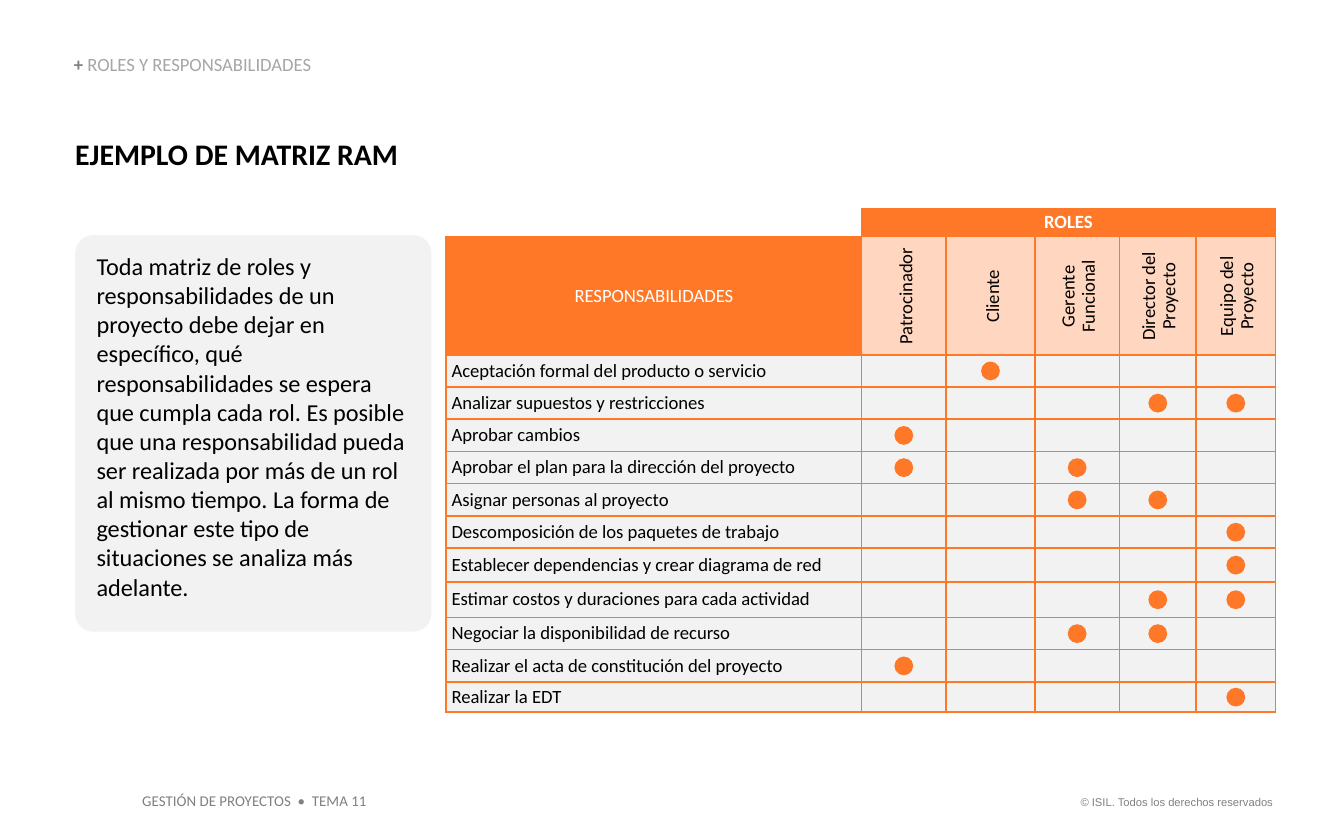
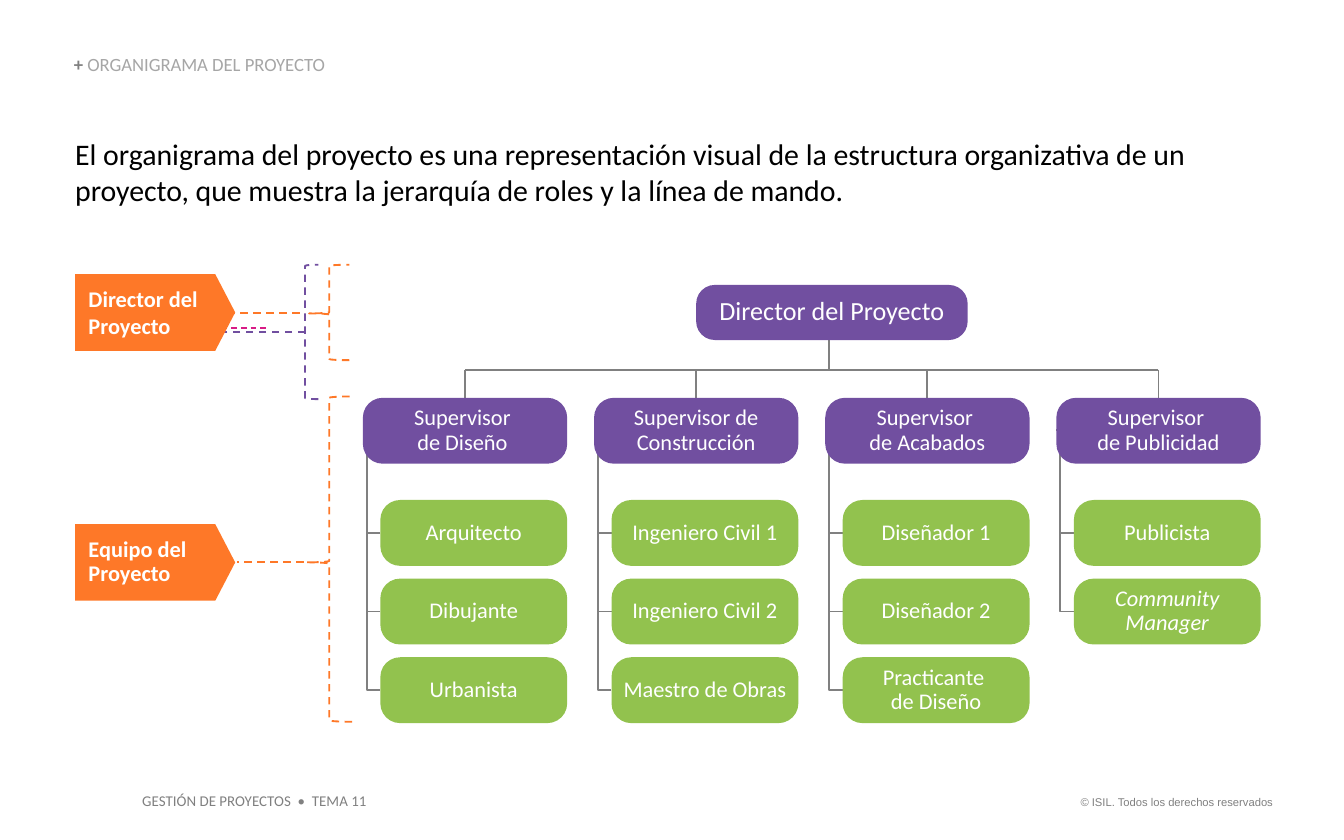
from pptx import Presentation
from pptx.dml.color import RGBColor
from pptx.enum.dml import MSO_LINE
from pptx.enum.shapes import MSO_CONNECTOR as LINK, MSO_SHAPE as SHAPE
from pptx.enum.text import MSO_ANCHOR as ANCHOR, PP_ALIGN as ALIGN
from pptx.oxml.ns import qn
from pptx.util import Inches, Pt
from lxml.etree import SubElement, Element

ORANGE = RGBColor(0xFE, 0x78, 0x28)
PEACH = RGBColor(0xFF, 0xD7, 0xC1)
PURPLE = RGBColor(0x71, 0x4F, 0xA0)
GREEN = RGBColor(0x92, 0xC2, 0x4E)
PINK = RGBColor(0xD8, 0x1B, 0x86)
PALE = RGBColor(0xF2, 0xF2, 0xF2)
GREY = RGBColor(0x80, 0x80, 0x80)
SILVER = RGBColor(0xA6, 0xA6, 0xA6)
BLACK = RGBColor(0, 0, 0)
WHITE = RGBColor(0xFF, 0xFF, 0xFF)
FONT = "Calibri"

deck = Presentation()
deck.slide_width, deck.slide_height = Inches(10), Inches(6.25)
G = deck.slide_width // 100  # square grid: 100 columns by 62.5 rows


def put(page, box, text="", size=12, ink=WHITE, kind=None, fill=None, edge=None, adj=(),
        bold=False, face=FONT, align=ALIGN.LEFT, anchor=ANCHOR.TOP, pad=(0, 0, 0, 0),
        space=None, wrap=True):
    """Add a text box, or a preset shape when a kind is given; box is in grid cells."""
    spot = [round(n * G) for n in box]
    if kind is None:
        item = page.shapes.add_textbox(*spot)
    else:
        item = page.shapes.add_shape(kind, *spot)
        item.shadow.inherit = False
        for i, share in enumerate(adj):
            item.adjustments[i] = share
        if fill is None:
            item.fill.background()
        else:
            item.fill.solid()
            item.fill.fore_color.rgb = fill
        if edge is None:
            item.line.fill.background()
        else:
            item.line.color.rgb = edge
            item.line.width = Pt(1)
            item.line.dash_style = MSO_LINE.DASH
    if text:
        frame = item.text_frame
        frame.text = text
        frame.word_wrap = wrap
        frame.vertical_anchor = anchor
        (frame.margin_left, frame.margin_top,
         frame.margin_right, frame.margin_bottom) = [round(n * G) for n in pad]
        para = frame.paragraphs[0]
        para.alignment = align
        if space:
            para.line_spacing = space
        for run in para.runs:
            run.font.name, run.font.size, run.font.bold = face, Pt(size), bold
            run.font.color.rgb = ink
    return item


def join(page, ends, ink=GREY, dash=False, width=1, bend=None):
    """Draw a line between two grid points, with an elbow when bend is given."""
    kind = LINK.STRAIGHT if bend is None else LINK.ELBOW
    wire = page.shapes.add_connector(kind, *[round(n * G) for n in ends])
    wire.line.color.rgb = ink
    wire.line.width = Pt(width)
    if dash:
        wire.line.dash_style = MSO_LINE.DASH
    props = wire._element.spPr
    SubElement(props, qn("a:effectLst"))
    if bend is not None:
        geom = props.find(qn("a:prstGeom"))
        guides = geom.find(qn("a:avLst"))
        if guides is None:
            guides = SubElement(geom, qn("a:avLst"))
        SubElement(guides, qn("a:gd"), name="adj1", fmla=f"val {round(bend * 100000)}")


# Shared heading and footers
pages = []
for topic in ("ROLES Y RESPONSABILIDADES", "ORGANIGRAMA DEL PROYECTO"):
    page = deck.slides.add_slide(deck.slide_layouts[6])
    pages.append(page)
    put(page, (79.1, 58.7, 16.6, 2), "© ISIL. Todos los derechos reservados", 6, GREY,
        face="Arial", align=ALIGN.RIGHT, pad=(1, 0.5, 1, 0.5), wrap=False)
    put(page, (9.6, 58.4, 18.7, 2.4), "GESTIÓN DE PROYECTOS  •  TEMA 11", 8, GREY,
        pad=(1, 0.5, 1, 0.5), wrap=False)
    head = put(page, (5.5, 4.1, 33.5, 1.5), "+ ", 10, GREY, bold=True,
               anchor=ANCHOR.BOTTOM, space=0.9)
    run = head.text_frame.paragraphs[0].add_run()
    run.text = topic
    run.font.name, run.font.size, run.font.bold = FONT, Pt(10), False
    run.font.color.rgb = SILVER
matrix, chart = pages

# Slide 1: title and explanation
put(matrix, (5.6, 10.1, 69.2, 2.7), "EJEMPLO DE MATRIZ RAM", 16, BLACK, bold=True)
put(matrix, (5.6, 17.5, 26.5, 29.5),
    "Toda matriz de roles y responsabilidades de un proyecto debe dejar en específico, "
    "qué responsabilidades se espera que cumpla cada rol. Es posible que una "
    "responsabilidad pueda ser realizada por más de un rol al mismo tiempo. La forma de "
    "gestionar este tipo de situaciones se analiza más adelante.",
    13, BLACK, SHAPE.ROUNDED_RECTANGLE, PALE, adj=[0.05], pad=(1.2, 0.8, 1.2, 0.5))

# Slide 1: matrix data, each task with the columns of its roles
roles = ["Patrocinador", "Cliente", "Gerente Funcional", "Director del Proyecto",
         "Equipo del Proyecto"]
tasks = [
    ("Aceptación formal del producto o servicio", [2]),
    ("Analizar supuestos y restricciones", [4, 5]),
    ("Aprobar cambios", [1]),
    ("Aprobar el plan para la dirección del proyecto", [1, 3]),
    ("Asignar personas al proyecto", [3, 4]),
    ("Descomposición de los paquetes de trabajo", [5]),
    ("Establecer dependencias y crear diagrama de red", [5]),
    ("Estimar costos y duraciones para cada actividad", [4, 5]),
    ("Negociar la disponibilidad de recurso", [3, 4]),
    ("Realizar el acta de constitución del proyecto", [1]),
    ("Realizar la EDT", [5]),
]
cols = [30.9, 6.3, 6.6, 6.3, 5.7, 5.9]
rows = [2.1, 8.8] + [2.4] * 6 + [2.5, 2.65, 2.4, 2.4, 2.25]
left, top = 33.2, 15.5

# Slide 1: table
spot = [round(n * G) for n in (left, top, sum(cols), sum(rows))]
grid = matrix.shapes.add_table(len(rows), len(cols), *spot).table
grid.first_row = grid.horz_banding = False
for col, wide in zip(grid.columns, cols):
    col.width = round(wide * G)
for row, high in zip(grid.rows, rows):
    row.height = round(high * G)
grid.cell(0, 1).merge(grid.cell(0, 5))
words = {(0, 1): "ROLES", (1, 0): "RESPONSABILIDADES"}
words.update({(r, 0): task for r, (task, _) in enumerate(tasks, 2)})

for r in range(len(rows)):
    for c in range(len(cols)):
        cell = grid.cell(r, c)
        if r > 1:
            fill = PALE
        elif r == c:
            fill = WHITE if r == 0 else PEACH
        else:
            fill = PEACH if r and c else ORANGE
        cell.fill.solid()
        cell.fill.fore_color.rgb = fill
        cell.vertical_anchor = ANCHOR.MIDDLE
        cell.margin_left = cell.margin_right = round(0.4 * G)
        cell.margin_top = cell.margin_bottom = round(0.2 * G)
        para = cell.text_frame.paragraphs[0]
        if (r, c) in words:
            para.text = words[r, c]
            para.alignment = ALIGN.CENTER if r < 2 else ALIGN.LEFT
            font = para.runs[0].font
            font.name, font.size, font.bold = FONT, Pt(10), r == 0
            font.color.rgb = WHITE if r < 2 else BLACK
        else:
            SubElement(para._p, qn("a:endParaRPr"), sz="1000")
        sides = "RB" if r == c == 0 else "LRTB"
        for i, side in enumerate(sides):
            rule = Element(qn(f"a:ln{side}"), w="12700")
            paint = SubElement(rule, qn("a:solidFill"))
            SubElement(paint, qn("a:srgbClr"), val=str(ORANGE))
            cell._tc.tcPr.insert(i, rule)

# Slide 1: upright role names and dots, centred on the table's cells
mids = [left + sum(cols[:c]) + cols[c] / 2 for c in range(len(cols))]
for role, mid in zip(roles, mids[1:]):
    two = " " in role
    high = 3 if two else 1.7
    name = put(matrix, (mid - 4.3, 22.05 - high / 2, 8.8, high), role, 10, BLACK,
               align=ALIGN.CENTER, space=0.9 if two else None)
    name.rotation = 270
for r, (_, marks) in enumerate(tasks, 2):
    y = top + sum(rows[:r]) + rows[r] / 2
    for c in marks:
        put(matrix, (mids[c] - 0.7, y - 0.7, 1.4, 1.4), kind=SHAPE.OVAL, fill=ORANGE)

# Slide 2: introduction
put(chart, (5.6, 10.1, 89.3, 5.4),
    "El organigrama del proyecto es una representación visual de la estructura "
    "organizativa de un proyecto, que muestra la jerarquía de roles y la línea de mando.",
    16, BLACK)

# Slide 2: lines behind the level tags
join(chart, (22.7, 24.7, 16.5, 24.7), PURPLE, dash=True)
join(chart, (16.5, 24.4, 19.8, 24.4), PINK, dash=True, width=0.75)

# Slide 2: director and trunk
teams = [
    ("Supervisor \vde Diseño ", ["Arquitecto", "Dibujante", "Urbanista"]),
    ("Supervisor de Construcción",
     ["Ingeniero Civil 1", "Ingeniero Civil 2", "Maestro de Obras"]),
    ("Supervisor \vde Acabados", ["Diseñador 1", "Diseñador 2", "Practicante \vde Diseño"]),
    ("Supervisor \vde Publicidad", ["Publicista", "Community Manager"]),
]
first, step, wide, high = 27, 17.2, 15.2, 4.9
pitch, start, inset = 5.85, 37.2, 1.3
node = dict(kind=SHAPE.ROUNDED_RECTANGLE, align=ALIGN.CENTER, anchor=ANCHOR.MIDDLE, space=0.9)
stem = first + wide / 2
join(chart, (61.7, 25.3, 61.7, 27.5))
join(chart, (stem, 27.5, stem + 3 * step, 27.5))
put(chart, (51.8, 21.2, 20.2, 4.1), "Director del Proyecto", 14, fill=PURPLE, adj=[0.34],
    pad=(1, 0.5, 1, 0.5), **node)

# Slide 2: one column per team
for i, (boss, staff) in enumerate(teams):
    x = first + i * step
    join(chart, (x + wide / 2, 27.5, x + wide / 2, 29.6))
    levels = [start + j * pitch for j in range(len(staff))]
    last = levels[-1] + high / 2
    join(chart, (x + inset, last, x, 32), bend=0.77)
    for y in levels[:-1]:
        join(chart, (x + inset, y + high / 2, x + 0.3, y + high / 2))
    put(chart, (x, 29.6, wide, high), boss, fill=PURPLE, adj=[0.3], **node)
    for y, name in zip(levels, staff):
        card = put(chart, (x + inset, y, wide - inset, high), name, fill=GREEN,
                   adj=[0.3], **node)
        if name == "Community Manager":
            card.text_frame.paragraphs[0].runs[0].font.italic = True

# Slide 2: level tags with their braces
levels = [
    ("Director del Proyecto", 20.4, None, (23, 19.7, 3, 7.1), (22.3, 23.3, 17.3, 23.3)),
    ("Equipo del Proyecto", 39, 0.9, (22.8, 29.5, 3.4, 24.2), (22.6, 41.8, 17.6, 41.8)),
]
for name, y, space, brace, ends in levels:
    put(chart, (5.6, y, 11.9, 5.7), name, kind=SHAPE.PENTAGON, fill=ORANGE, adj=[0.26],
        bold=True, anchor=ANCHOR.MIDDLE, pad=(1, 0.5, 1, 0.5), space=space)
    put(chart, brace, kind=SHAPE.LEFT_BRACE, edge=ORANGE, adj=[0.03, 0.51])
    join(chart, ends, ORANGE, dash=True)
put(chart, (22.7, 19.7, 1, 10), kind=SHAPE.LEFT_BRACKET, edge=PURPLE)

deck.save("out.pptx")
